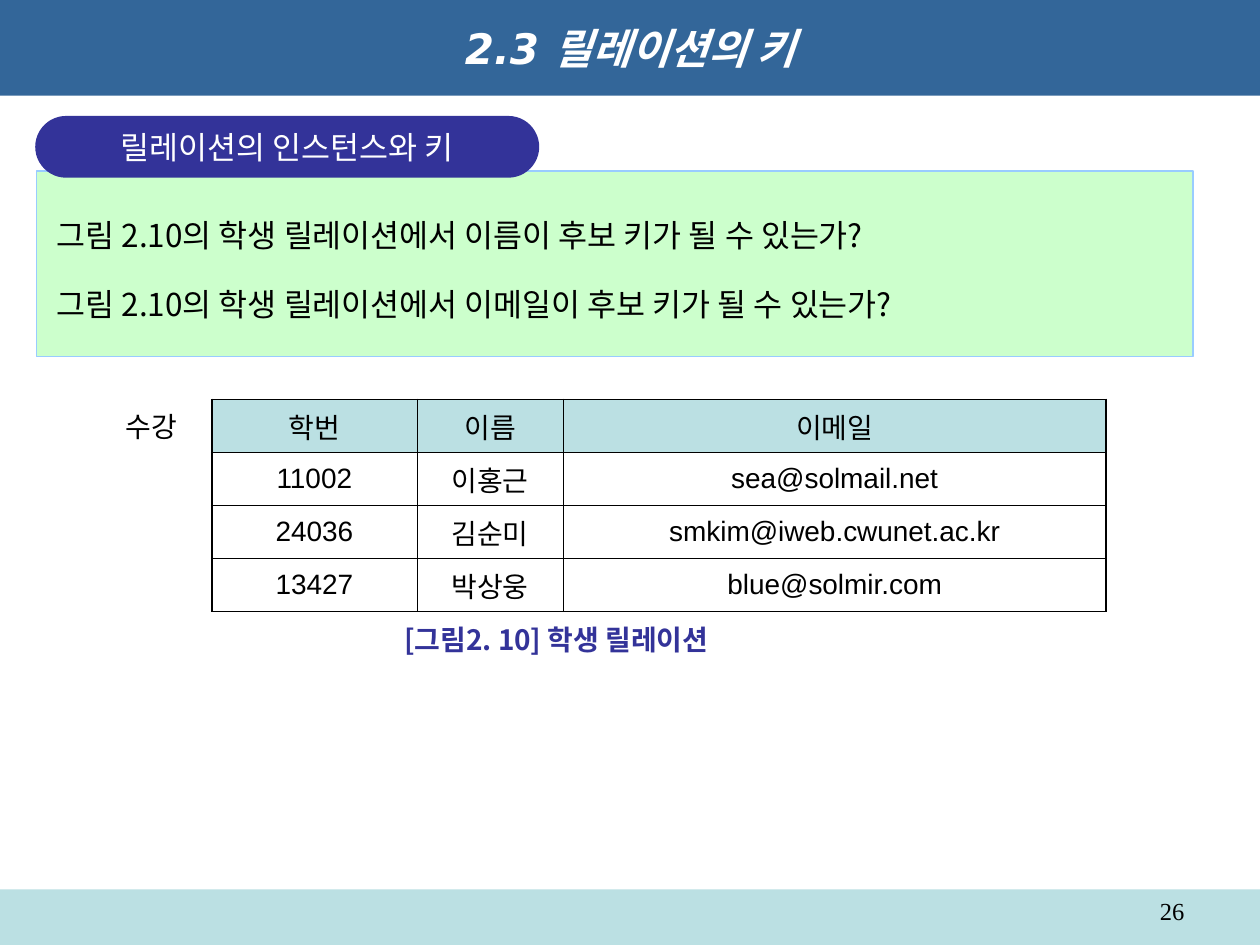
"""Build the slide on relation instances and keys."""
from dataclasses import dataclass

from lxml.etree import SubElement
from pptx import Presentation
from pptx.dml.color import RGBColor
from pptx.enum.shapes import MSO_SHAPE as Shape
from pptx.enum.text import MSO_ANCHOR as Anchor, MSO_AUTO_SIZE as AutoSize, PP_ALIGN as Align
from pptx.oxml.ns import qn
from pptx.util import Inches, Pt

TITLE = "2.3 릴레이션의 키"
TOPIC = "릴레이션의 인스턴스와 키"
QUESTIONS = [
    "그림 2.10의 학생 릴레이션에서 이름이 후보 키가 될 수 있는가?",
    "그림 2.10의 학생 릴레이션에서 이메일이 후보 키가 될 수 있는가?",
]
RELATION_NAME = "수강"
STUDENTS = [
    ("학번", "이름", "이메일"),
    ("11002", "이홍근", "sea@solmail.net"),
    ("24036", "김순미", "smkim@iweb.cwunet.ac.kr"),
    ("13427", "박상웅", "blue@solmir.com"),
]
COLUMN_WIDTHS = (1.63, 1.16, 4.31)
ROW_HEIGHT = 0.39
CAPTION = "[그림2. 10] 학생 릴레이션"
PAGE = "26"


@dataclass(frozen=True)
class Theme:
    black: str = "000000"
    white: str = "FFFFFF"
    banner: str = "336699"
    accent: str = "333399"
    pale: str = "BBE0E3"
    panel: str = "CCFFCC"
    panel_edge: str = "99CCFF"
    korean: str = "Noto Sans CJK KR"
    label: str = "Noto Sans CJK JP"
    heading: str = "DejaVu Sans"
    latin: str = "Arial"
    number: str = "Times New Roman"
    title_size: float = 24
    body_size: float = 18
    table_size: float = 16
    page_size: float = 14
    outer_line: float = 1.08
    inner_line: float = 0.45


THEME = Theme()


def paint(part, color):
    part.fill.solid()
    part.fill.fore_color.rgb = RGBColor.from_string(color)


def set_margins(frame, horizontal=0.1, vertical=0.05):
    frame.margin_left = frame.margin_right = Inches(horizontal)
    frame.margin_top = frame.margin_bottom = Inches(vertical)


def write(paragraph, text, size, font, color, align=Align.LEFT, bold=False, italic=False):
    paragraph.alignment = align
    run = paragraph.add_run()
    run.text = text
    run.font.size = Pt(size)
    run.font.bold = bold
    run.font.italic = italic
    run.font.color.rgb = RGBColor.from_string(color)
    run.font.name = font
    east_asian = THEME.label if font == THEME.label else THEME.korean
    SubElement(run.font._element, qn("a:ea"), typeface=east_asian)


def add_panel(slide, kind, box, color, edge=None):
    panel = slide.shapes.add_shape(kind, *map(Inches, box))
    panel.shadow.inherit = False
    paint(panel, color)
    if edge:
        panel.line.color.rgb = RGBColor.from_string(edge)
        panel.line.width = Pt(1)
    else:
        panel.line.fill.background()
    panel.text_frame.vertical_anchor = Anchor.MIDDLE
    return panel


def add_label(slide, box, text, size, font, color, wrap=True, **style):
    frame = slide.shapes.add_textbox(*map(Inches, box)).text_frame
    frame.word_wrap = wrap
    frame.auto_size = AutoSize.NONE
    set_margins(frame)
    write(frame.paragraphs[0], text, size, font, color, **style)


def add_borders(cell, row, column):
    last_row, last_column = len(STUDENTS) - 1, len(COLUMN_WIDTHS) - 1
    outer_sides = {
        "a:lnL": column == 0,
        "a:lnR": column == last_column,
        "a:lnT": row == 0,
        "a:lnB": row == last_row,
    }
    properties = cell._tc.get_or_add_tcPr()
    for position, (side, outer) in enumerate(outer_sides.items()):
        width = Pt(THEME.outer_line if outer else THEME.inner_line)
        border = SubElement(properties, qn(side), w=str(width))
        fill = SubElement(border, qn("a:solidFill"))
        SubElement(fill, qn("a:srgbClr"), val=THEME.black)
        properties.insert(position, border)


def add_students(slide):
    table = slide.shapes.add_table(
        len(STUDENTS), len(COLUMN_WIDTHS), Inches(1.68), Inches(3.17),
        Inches(sum(COLUMN_WIDTHS)), Inches(ROW_HEIGHT * len(STUDENTS)),
    ).table
    for column, width in zip(table.columns, COLUMN_WIDTHS):
        column.width = Inches(width)
    for r, record in enumerate(STUDENTS):
        table.rows[r].height = Inches(ROW_HEIGHT)
        for c, value in enumerate(record):
            cell = table.cell(r, c)
            set_margins(cell)
            cell.vertical_anchor = Anchor.MIDDLE
            paint(cell, THEME.white if r else THEME.pale)
            add_borders(cell, r, c)
            write(cell.text_frame.paragraphs[0], value, THEME.table_size,
                  THEME.latin, THEME.black, Align.CENTER)


def add_title(slide):
    title = slide.shapes.title
    title.left, title.top, title.width, title.height = map(Inches, (0, 0, 10, 0.76))
    paint(title, THEME.banner)
    title.text_frame.vertical_anchor = Anchor.MIDDLE
    write(title.text_frame.paragraphs[0], TITLE, THEME.title_size, THEME.heading,
          THEME.white, Align.CENTER, bold=True, italic=True)


def add_questions(slide):
    frame = add_panel(slide, Shape.RECTANGLE, (0.29, 1.36, 9.18, 1.47),
                      THEME.panel, THEME.panel_edge).text_frame
    frame.word_wrap = True
    set_margins(frame, 0.16, 0.16)
    for index, question in enumerate(QUESTIONS):
        paragraph = frame.add_paragraph() if index else frame.paragraphs[0]
        paragraph.line_spacing = 1.3
        if index:
            paragraph.space_before = Pt(11.2)
        write(paragraph, question, THEME.body_size, THEME.korean, THEME.black)


def add_topic(slide):
    pill = add_panel(slide, Shape.ROUNDED_RECTANGLE, (0.28, 0.92, 4, 0.49), THEME.accent)
    pill.adjustments[0] = 0.5
    pill.text_frame.word_wrap = False
    set_margins(pill.text_frame)
    write(pill.text_frame.paragraphs[0], TOPIC, THEME.body_size, THEME.korean,
          THEME.white, Align.CENTER)


def main():
    deck = Presentation()
    deck.slide_width, deck.slide_height = Inches(10), Inches(7.5)
    slide = deck.slides.add_slide(deck.slide_layouts[5])
    add_title(slide)
    add_panel(slide, Shape.RECTANGLE, (0, 7.06, 10, 0.44), THEME.pale)
    add_label(slide, (7.17, 7.06, 2.33, 0.29), PAGE, THEME.page_size,
              THEME.number, THEME.black, align=Align.RIGHT)
    add_questions(slide)
    add_topic(slide)
    add_students(slide)
    add_label(slide, (0.9, 3.2, 0.63, 0.37), RELATION_NAME, THEME.table_size,
              THEME.label, THEME.black, wrap=False)
    add_label(slide, (3.11, 4.89, 5.19, 0.37), CAPTION, THEME.table_size,
              THEME.korean, THEME.accent, align=Align.JUSTIFY, bold=True)
    deck.save("out.pptx")


if __name__ == "__main__":
    main()
